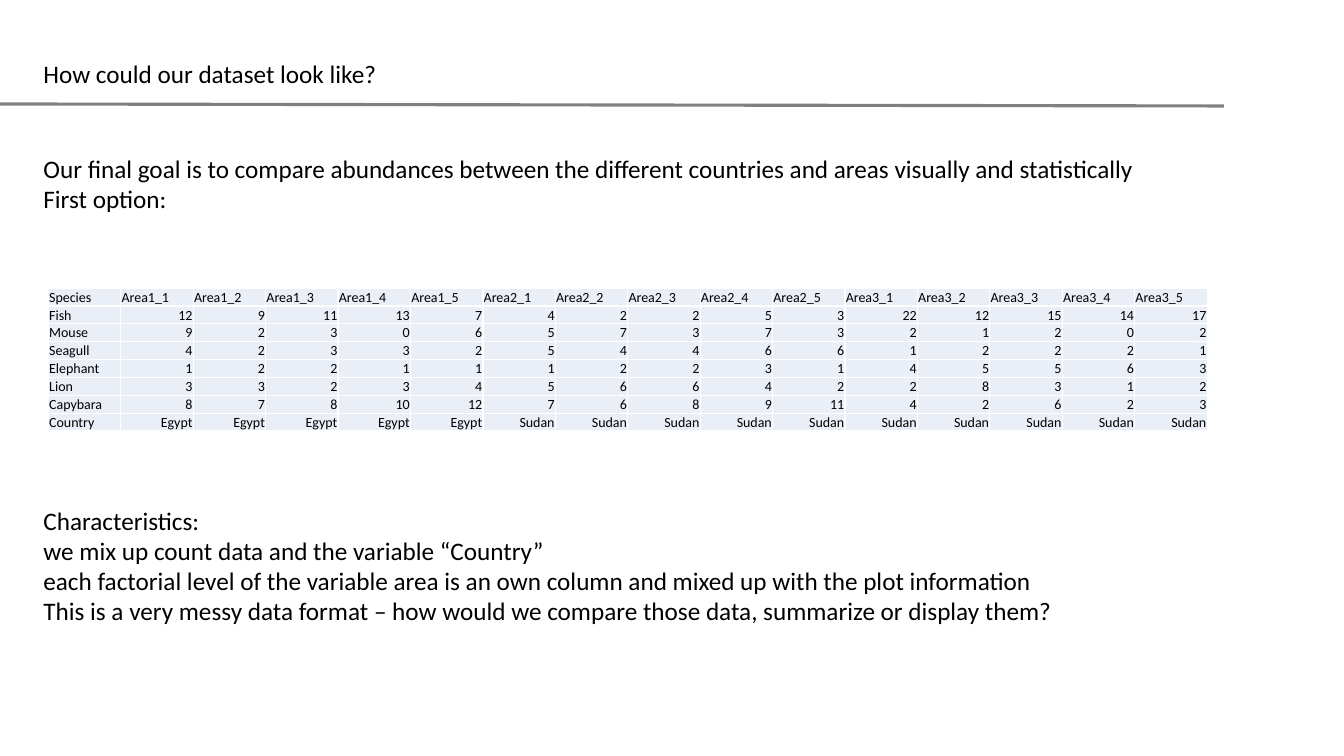
from lxml.etree import SubElement
from pptx import Presentation
from pptx.dml.color import RGBColor
from pptx.enum.shapes import MSO_CONNECTOR
from pptx.enum.text import MSO_ANCHOR, MSO_AUTO_SIZE, PP_ALIGN
from pptx.oxml.ns import qn
from pptx.util import Cm, Pt

TITLE = ["How could our dataset look like?"]
GOAL = [
    "Our final goal is to compare abundances between the different countries and areas "
    "visually and statistically",
    "First option:",
]
CHARACTERISTICS = [
    "Characteristics:",
    "we mix up count data and the variable “Country”",
    "each factorial level of the variable area is an own column and mixed up with the plot information",
    "This is a very messy data format – how would we compare those data, summarize or display them?",
]
COUNTS = {
    "Fish": [12, 9, 11, 13, 7, 4, 2, 2, 5, 3, 22, 12, 15, 14, 17],
    "Mouse": [9, 2, 3, 0, 6, 5, 7, 3, 7, 3, 2, 1, 2, 0, 2],
    "Seagull": [4, 2, 3, 3, 2, 5, 4, 4, 6, 6, 1, 2, 2, 2, 1],
    "Elephant": [1, 2, 2, 1, 1, 1, 2, 2, 3, 1, 4, 5, 5, 6, 3],
    "Lion": [3, 3, 2, 3, 4, 5, 6, 6, 4, 2, 2, 8, 3, 1, 2],
    "Capybara": [8, 7, 8, 10, 12, 7, 6, 8, 9, 11, 4, 2, 6, 2, 3],
}
ROWS = [
    ["Species"] + [f"Area{area}_{plot}" for area in range(1, 4) for plot in range(1, 6)],
    *([species, *counts] for species, counts in COUNTS.items()),
    ["Country"] + ["Egypt"] * 5 + ["Sudan"] * 10,
]

FONT = "Calibri"
BLACK, WHITE, GREY, PALE_BLUE = "000000", "FFFFFF", "808080", "EAEFF7"
LEFT = 0.84
COL_WIDTH, ROW_HEIGHT = 1.825, 0.45


def rgb(value):
    return RGBColor.from_string(value)


def add_run(p, text, size):
    r = p.add_run()
    r.text = text
    r.font.name, r.font.size = FONT, Pt(size)
    r.font.color.rgb = rgb(BLACK)


def fill_placeholder(sp, lines, top, width, height, wrap=False):
    sp.left, sp.top, sp.width, sp.height = Cm(LEFT), Cm(top), Cm(width), Cm(height)
    tf = sp.text_frame
    tf.word_wrap = wrap
    tf.auto_size = MSO_AUTO_SIZE.SHAPE_TO_FIT_TEXT
    tf.vertical_anchor = MSO_ANCHOR.TOP
    for i, line in enumerate(lines):
        p = tf.add_paragraph() if i else tf.paragraphs[0]
        p.alignment = PP_ALIGN.LEFT
        p.space_before = Pt(0)
        pPr = p._p.get_or_add_pPr()
        pPr.set("marL", "0")
        pPr.set("indent", "0")
        SubElement(pPr, qn("a:buNone"))
        add_run(p, line, 18)


def add_borders(cell):
    tcPr = cell._tc.get_or_add_tcPr()
    for side in ("lnL", "lnR", "lnT", "lnB"):
        ln = SubElement(tcPr, qn(f"a:{side}"), w=str(Pt(1)))
        SubElement(SubElement(ln, qn("a:solidFill")), qn("a:srgbClr"), val=WHITE)


def add_abundance_table(slide):
    n_rows, n_cols = len(ROWS), len(ROWS[0])
    table = slide.shapes.add_table(
        n_rows, n_cols, Cm(1.22), Cm(7.26),
        Cm(n_cols * COL_WIDTH), Cm(n_rows * ROW_HEIGHT)).table
    table.first_row = table.horz_banding = False
    for row in table.rows:
        row.height = Cm(ROW_HEIGHT)
    for column in table.columns:
        column.width = Cm(COL_WIDTH)
    for i, values in enumerate(ROWS):
        for j, value in enumerate(values):
            cell = table.cell(i, j)
            add_borders(cell)
            cell.fill.solid()
            cell.fill.fore_color.rgb = rgb(PALE_BLUE)
            cell.margin_left = cell.margin_right = cell.margin_top = Cm(0.02)
            cell.margin_bottom = Cm(0)
            cell.vertical_anchor = MSO_ANCHOR.BOTTOM
            p = cell.text_frame.paragraphs[0]
            p.alignment = PP_ALIGN.RIGHT if i and j else PP_ALIGN.LEFT
            add_run(p, str(value), 10)


def main():
    prs = Presentation()
    prs.slide_width, prs.slide_height = Cm(33.87), Cm(19.05)
    slide = prs.slides.add_slide(prs.slide_layouts.get_by_name("Two Content"))

    rule = slide.shapes.add_connector(
        MSO_CONNECTOR.STRAIGHT, Cm(0), Cm(2.62), Cm(30.84), Cm(2.67))
    rule.line.color.rgb = rgb(GREY)
    rule.line.width = Pt(2.25)
    SubElement(rule._element.spPr, qn("a:effectLst"))

    title, goal, characteristics = slide.placeholders
    fill_placeholder(title, TITLE, 1.35, 9.35, 1.03)
    fill_placeholder(goal, GOAL, 3.73, 28.32, 1.8)
    add_abundance_table(slide)
    fill_placeholder(characteristics, CHARACTERISTICS, 12.6, 32.2, 3.33, wrap=True)
    prs.save("out.pptx")


if __name__ == "__main__":
    main()
